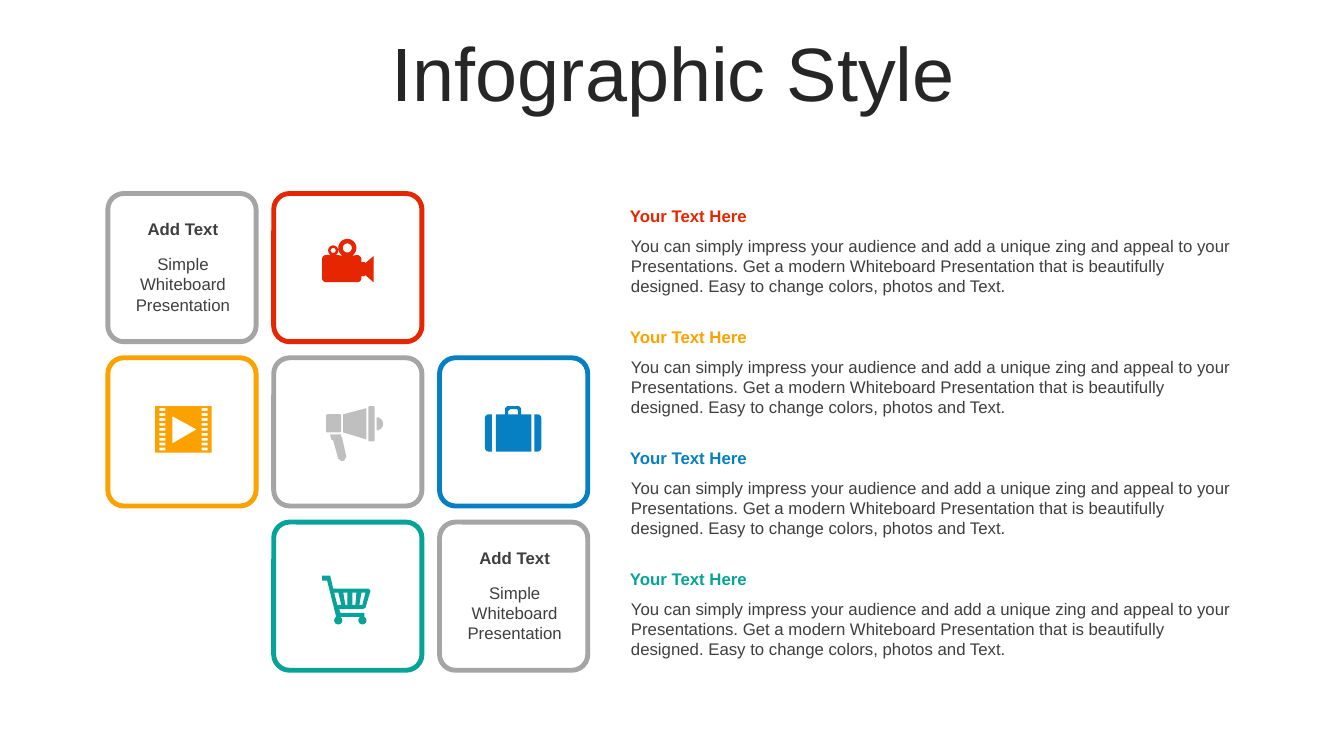
import math
from dataclasses import dataclass

from pptx import Presentation
from pptx import util as u
from pptx.dml.color import RGBColor
from pptx.enum import shapes, text


@dataclass(frozen=True)
class Theme:
    font: str = "Arial"
    title_size: int = 54
    body_size: int = 12
    outline: float = 3.5
    title: str = "262626"
    body: str = "3F3F3F"
    white: str = "FFFFFF"
    gray: str = "A5A5A5"
    light_gray: str = "BFBFBF"
    red: str = "E62601"
    orange: str = "FBA200"
    blue: str = "0680C3"
    teal: str = "07A398"


@dataclass(frozen=True)
class Box:
    left: float
    top: float
    width: float
    height: float

    def inner(self, left, top, width, height):
        return Box(self.left + left, self.top + top, width, height)

    def emu(self):
        return [u.Inches(n) for n in (self.left, self.top, self.width, self.height)]


THEME = Theme()
SLIDE = Box(0, 0, 13.33, 7.5)
TILE = 1.47
COLUMN_STEP, ROW_STEP = 1.645, 1.63
ENTRY_STEP = 1.2
LINE_BOX, BODY_BOX = 0.3, 0.71
BLURB = (
    "You can simply impress your audience and add a unique zing and appeal to your "
    "Presentations. Get a modern Whiteboard Presentation that is beautifully designed. "
    "Easy to change colors, photos and Text."
)


def arc(x, y, radius, start, end):
    steps = max(6, round((end - start) / 12))
    angles = [math.radians(start + (end - start) * i / steps) for i in range(steps + 1)]
    return [(x + radius * math.cos(a), y + radius * math.sin(a)) for a in angles]


def rounded(left, top, width, height, radius=0):
    right, bottom = left + width, top + height
    if not radius:
        return [(left, top), (right, top), (right, bottom), (left, bottom)]
    return (
        arc(right - radius, top + radius, radius, 270, 360)
        + arc(right - radius, bottom - radius, radius, 0, 90)
        + arc(left + radius, bottom - radius, radius, 90, 180)
        + arc(left + radius, top + radius, radius, 180, 270)
    )


def camera():
    outline = (
        arc(25, 9, 9, 120, 420)
        + arc(34.5, 20.5, 4.5, 270, 360)
        + [(39, 23), (42, 23), (43, 24), (51, 17), (51, 43), (43, 36), (42, 37), (39, 37)]
        + arc(35, 39, 4, 0, 90)
        + arc(4, 39, 4, 90, 180)
        + arc(4, 20, 4, 180, 270)
        + arc(11, 11.5, 5, 120, 420)
    )
    return [outline, arc(11, 11.5, 2.5, 0, 360), arc(25, 9, 4.5, 0, 360)]


def film():
    holes = [rounded(x, 2 + 4.9 * row, 6, 2.7) for x in (4, 46) for row in range(9)]
    return [rounded(0, 0, 56, 46), [(17, 10), (17, 37), (41, 23)], *holes]


def megaphone():
    handle = [(15, 28), (15, 30), (16, 32), (20, 50), (18, 54), (15, 54.5),
              (12, 52), (7, 34), (5, 33), (4, 28)]
    cone = [(40, 2), (40, 33), (17, 26), (17, 8)]
    bell = arc(50, 17.5, 6.5, 270, 450)
    return [handle, cone, bell, rounded(0, 8, 15, 18, 1.5), rounded(42, 0, 6, 35, 1)]


def suitcase():
    right = [(49, 8)] + arc(52, 12, 4, 270, 360) + arc(52, 41, 4, 0, 90) + [(49, 45)]
    left = [(56 - x, y) for x, y in right]
    middle = [(20, 8), (20, 2), (22, 0), (34, 0), (36, 2), (36, 8),
              (46, 8), (46, 45), (11, 45), (11, 8)]
    handle_gap = [(23, 8), (23, 5), (25, 3), (32, 3), (33, 5), (33, 8)]
    return [middle, handle_gap, right, left]


def cart():
    frame = (
        [(8, 0), (11, 13), (46, 13), (48, 15), (43, 32), (41, 33), (17, 33),
         (18, 37), (42, 37)]
        + arc(40, 44.5, 4, 300, 600)
        + arc(16, 44.5, 4, 300, 600)
        + [(5, 5), (0, 5), (0, 0)]
    )
    slots = [(39, 37, 40, 43), (30, 30, 33, 34), (21, 23, 25, 25), (12, 15, 19, 16)]
    return [frame] + [[(a, 17), (b, 29), (c, 29), (d, 17)] for a, b, c, d in slots]


def paint(shape, fill, line=None):
    shape.shadow.inherit = False
    shape.fill.solid()
    shape.fill.fore_color.rgb = RGBColor.from_string(fill)
    if line:
        shape.line.color.rgb = RGBColor.from_string(line)
        shape.line.width = u.Pt(THEME.outline)
    else:
        shape.line.fill.background()


def write(page, box, words, *, color=THEME.body, size=THEME.body_size, bold=False,
          align=text.PP_ALIGN.LEFT, anchor=text.MSO_ANCHOR.TOP, spacing=None,
          fit=text.MSO_AUTO_SIZE.SHAPE_TO_FIT_TEXT):
    frame = page.shapes.add_textbox(*box.emu()).text_frame
    frame.word_wrap = True
    frame.auto_size = fit
    frame.vertical_anchor = anchor
    para = frame.paragraphs[0]
    para.alignment = align
    para.line_spacing = spacing
    span = para.add_run()
    span.text = words
    span.font.name = THEME.font
    span.font.size = u.Pt(size)
    span.font.bold = bold
    span.font.color.rgb = RGBColor.from_string(color)


def draw_icon(page, box, contours, color):
    def place(points):
        return [(u.Inches(box.left + x / 100), u.Inches(box.top + y / 100))
                for x, y in points]

    first, *others = [place(points) for points in contours]
    builder = page.shapes.build_freeform(*first[0], scale=1.0)
    builder.add_line_segments(first[1:], close=True)
    for points in others:
        builder.move_to(*points[0])
        builder.add_line_segments(points[1:], close=True)
    paint(builder.convert_to_shape(), color)


def draw_tile(page, box, color):
    tile = page.shapes.add_shape(shapes.MSO_SHAPE.ROUNDED_RECTANGLE, *box.emu())
    tile.adjustments[0] = 0.107
    paint(tile, THEME.white, color)


def draw_label(page, box):
    center = text.PP_ALIGN.CENTER
    write(page, box.inner(0.08, 0.205, 1.33, LINE_BOX), "Add Text", bold=True, align=center)
    write(page, box.inner(0.08, 0.55, 1.33, BODY_BOX), "Simple Whiteboard Presentation",
          align=center)


def draw_tiles(page, box):
    def cell(column, row):
        return box.inner(column * COLUMN_STEP, row * ROW_STEP, TILE, TILE)

    for column, row in ((0, 0), (2, 2)):
        draw_tile(page, cell(column, row), THEME.gray)
        draw_label(page, cell(column, row))
    icon_tiles = [
        (1, 0, THEME.red, THEME.red, camera, 0.48, 0.45),
        (0, 1, THEME.orange, THEME.orange, film, 0.47, 0.48),
        (1, 1, THEME.gray, THEME.light_gray, megaphone, 0.52, 0.48),
        (2, 1, THEME.blue, THEME.blue, suitcase, 0.45, 0.48),
        (1, 2, THEME.teal, THEME.teal, cart, 0.48, 0.53),
    ]
    for column, row, outline, color, icon, left, top in icon_tiles:
        tile = cell(column, row)
        draw_tile(page, tile, outline)
        draw_icon(page, tile.inner(left, top, 0.56, 0.56), icon(), color)


def draw_entries(page, box):
    for row, color in enumerate((THEME.red, THEME.orange, THEME.blue, THEME.teal)):
        top = row * ENTRY_STEP
        write(page, box.inner(0, top, box.width, LINE_BOX), "Your Text Here",
              color=color, bold=True)
        write(page, box.inner(0.01, top + LINE_BOX, box.width - 0.01, BODY_BOX), BLURB)


def draw_title(page, box):
    write(page, box, "Infographic Style", color=THEME.title, size=THEME.title_size,
          align=text.PP_ALIGN.CENTER, anchor=text.MSO_ANCHOR.MIDDLE, spacing=0.9,
          fit=text.MSO_AUTO_SIZE.NONE)


def main():
    deck = Presentation()
    deck.slide_width, deck.slide_height = SLIDE.emu()[2:]
    page = deck.slides.add_slide(deck.slide_layouts[6])
    draw_title(page, SLIDE.inner(0.35, 0.37, 12.66, 0.79))
    draw_tiles(page, SLIDE.inner(1.07, 1.92, 4.76, 4.73))
    draw_entries(page, SLIDE.inner(6.15, 1.99, 6.24, 4.61))
    deck.save("out.pptx")


if __name__ == "__main__":
    main()
